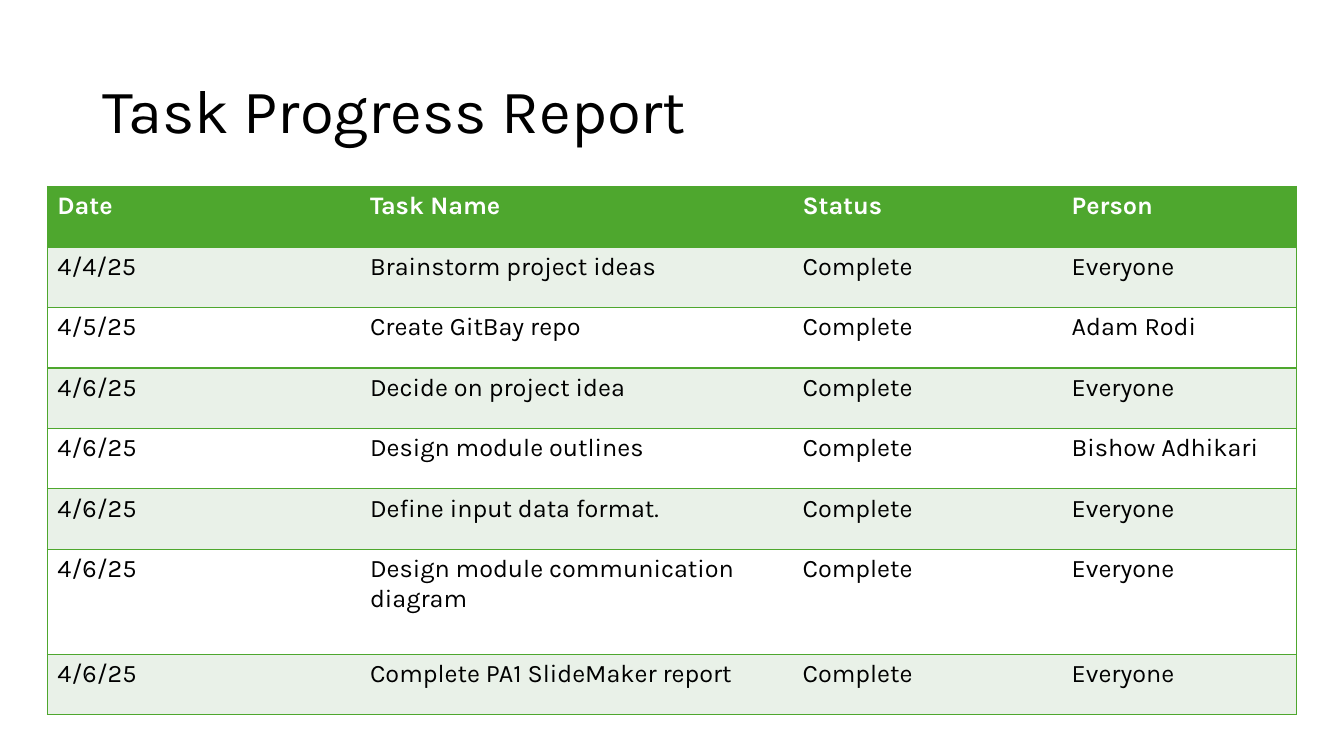
from dataclasses import dataclass

from lxml import etree
from pptx import Presentation
from pptx.dml.color import RGBColor
from pptx.enum.text import MSO_ANCHOR, MSO_AUTO_SIZE, PP_ALIGN
from pptx.oxml.ns import qn
from pptx.util import Pt

LEFT = PP_ALIGN.LEFT
MIDDLE = MSO_ANCHOR.MIDDLE
FIXED = MSO_AUTO_SIZE.NONE
PX = 9144  # EMU in one px, 100 px to the inch
WIDE, HIGH = 1333, 750


@dataclass(frozen=True)
class Theme:
    font: str = "Karla"
    green: str = "4EA72E"
    pale: str = "E9F1E8"
    white: str = "FFFFFF"
    black: str = "000000"
    title: int = 44
    body: int = 18
    rule: int = 1


THEME = Theme()

TITLE = "Task Progress Report"
COLS = [310, 429, 267, 233]
ROWS = [60] * 6 + [104, 60]
TASKS = [
    ("Date", "Task Name", "Status", "Person"),
    ("4/4/25", "Brainstorm project ideas", "Complete", "Everyone"),
    ("4/5/25", "Create GitBay repo", "Complete", "Adam Rodi"),
    ("4/6/25", "Decide on project idea", "Complete", "Everyone"),
    ("4/6/25", "Design module outlines", "Complete", "Bishow Adhikari"),
    ("4/6/25", "Define input data format.", "Complete", "Everyone"),
    ("4/6/25", "Design module communication diagram", "Complete", "Everyone"),
    ("4/6/25", "Complete PA1 SlideMaker report", "Complete", "Everyone"),
]


def apply(target, values):
    for name, value in values.items():
        setattr(target, name, value)


def write(frame, text, size, color, bold=False):
    """Put one run of styled text in a frame and return its paragraph."""
    para = frame.paragraphs[0]
    run = para.add_run()
    run.text = text
    apply(run.font, {"name": THEME.font, "size": Pt(size), "bold": bold})
    run.font.color.rgb = RGBColor.from_string(color)
    return para


def border(cell, shown):
    """Rule the shown sides of a cell and clear the others."""
    props = cell._tc.get_or_add_tcPr()
    for side in "LRTB":
        line = etree.SubElement(props, qn(f"a:ln{side}"), w=str(Pt(THEME.rule)))
        if side in shown:
            fill = etree.SubElement(line, qn("a:solidFill"))
            etree.SubElement(fill, qn("a:srgbClr"), val=THEME.green)
        else:
            etree.SubElement(line, qn("a:noFill"))


def add_title(slide, left, top, width, height):
    shape = slide.shapes.title
    apply(shape, {"left": left * PX, "top": top * PX,
                  "width": width * PX, "height": height * PX})
    frame = shape.text_frame
    apply(frame, {"word_wrap": True, "auto_size": FIXED,
                  "vertical_anchor": MIDDLE})
    para = write(frame, TITLE, THEME.title, THEME.black)
    apply(para, {"alignment": LEFT, "line_spacing": 0.9})


def add_tasks(slide, left, top):
    grid = slide.shapes.add_table(
        len(ROWS), len(COLS), left * PX, top * PX,
        sum(COLS) * PX, sum(ROWS) * PX).table
    grid.horz_banding = False
    for col, width in zip(grid.columns, COLS):
        col.width = width * PX
    for row, height in zip(grid.rows, ROWS):
        row.height = height * PX

    # Header row in green, then pale and white rows in turn
    for r, task in enumerate(TASKS):
        head = r == 0
        fill = THEME.green if head else (THEME.white, THEME.pale)[r % 2]
        ink = THEME.white if head else THEME.black
        for c, text in enumerate(task):
            cell = grid.cell(r, c)
            sides = "TB" + "L" * (c == 0) + "R" * (c == len(COLS) - 1)
            border(cell, sides)
            cell.fill.solid()
            cell.fill.fore_color.rgb = RGBColor.from_string(fill)
            write(cell.text_frame, text, THEME.body, ink, head)


def main():
    deck = Presentation()
    apply(deck, {"slide_width": WIDE * PX, "slide_height": HIGH * PX})
    slide = deck.slides.add_slide(deck.slide_layouts.get_by_name("Title Only"))
    add_title(slide, 92, 40, 1150, 145)
    add_tasks(slide, 47, 185)
    deck.save("out.pptx")


if __name__ == "__main__":
    main()
